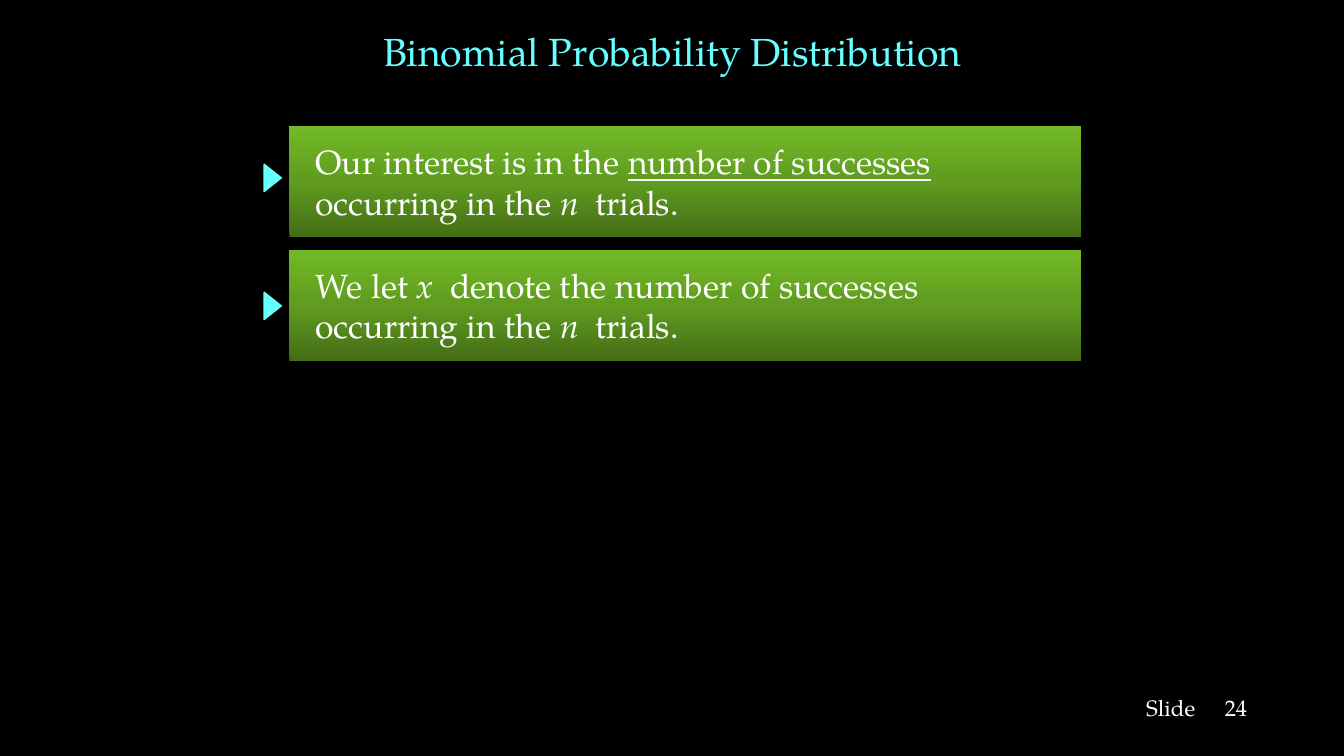
from copy import deepcopy
from pptx import Presentation
from pptx.dml.color import RGBColor
from pptx.enum.shapes import MSO_SHAPE as Preset
from pptx.enum.text import MSO_ANCHOR as Anchor, PP_ALIGN as Align
from pptx.oxml.ns import qn
from pptx.util import Inches, Pt

BLACK = RGBColor(0x00, 0x00, 0x00)
WHITE = RGBColor(0xFF, 0xFF, 0xFF)
CYAN = RGBColor(0x66, 0xFF, 0xFF)
GREENS = [RGBColor(0x44, 0x6D, 0x16), RGBColor(0x60, 0x9C, 0x20), RGBColor(0x72, 0xB9, 0x25)]
FONT = "TeX Gyre Pagella"

prs = Presentation()
prs.slide_width, prs.slide_height = Inches(13.33), Inches(7.5)
slide = prs.slides.add_slide(prs.slide_layouts[6])
slide.background.fill.solid()
slide.background.fill.fore_color.rgb = BLACK


def style(run, size, color):
    run.font.name = FONT
    run.font.size = Pt(size)
    run.font.color.rgb = color


def add_label(text, left, top, width, height, size, color, align):
    label = slide.shapes.add_textbox(Inches(left), Inches(top), Inches(width), Inches(height))
    frame = label.text_frame
    frame.word_wrap = True
    frame.vertical_anchor = Anchor.MIDDLE
    frame.text = text
    frame.paragraphs[0].alignment = align
    style(frame.paragraphs[0].runs[0], size, color)


add_label("Binomial Probability Distribution", 1, 0.06, 11.33, 0.89, 28, CYAN, Align.CENTER)
add_label("Slide", 11.27, 6.83, 0.78, 0.37, 16, WHITE, Align.LEFT)
add_label("24", 12.05, 6.83, 0.5, 0.37, 16, WHITE, Align.LEFT)

TRIALS = [("occurring in the ", ""), ("n", "italic"), (" trials.", "")]
statements = [
    (1.25, 1.68, [[("Our interest is in the ", ""), ("number of successes", "underline")], TRIALS]),
    (2.48, 2.95, [[("We let ", ""), ("x", "italic"), (" denote the number of successes", "")], TRIALS]),
]

for panel_top, marker_top, lines in statements:
    panel = slide.shapes.add_shape(
        Preset.RECTANGLE, Inches(2.87), Inches(panel_top), Inches(7.85), Inches(1.1))
    panel.shadow.inherit = False
    panel.line.fill.background()
    panel.fill.gradient()
    panel.fill.gradient_angle = 90
    stops = panel._element.spPr.find(".//" + qn("a:gsLst"))
    stops.append(deepcopy(stops[0]))
    for stop, green, position in zip(panel.fill.gradient_stops, GREENS, (0, 0.5, 1)):
        stop.color.rgb = green
        stop.position = position

    frame = panel.text_frame
    frame.word_wrap = False
    frame.vertical_anchor = Anchor.MIDDLE
    frame.margin_left = Inches(0.26)
    for number, line in enumerate(lines):
        paragraph = frame.add_paragraph() if number else frame.paragraphs[0]
        paragraph.alignment = Align.LEFT
        for text, emphasis in line:
            run = paragraph.add_run()
            run.text = text
            style(run, 24, WHITE)
            if emphasis == "underline":
                run.font.underline = True
            elif emphasis == "italic":
                run.font.italic = True
                run._r.get_or_add_rPr().set("spc", "600")

    marker = slide.shapes.add_shape(
        Preset.ISOSCELES_TRIANGLE, Inches(2.57), Inches(marker_top), Inches(0.27), Inches(0.17))
    marker.rotation = 90
    marker.shadow.inherit = False
    marker.fill.solid()
    marker.fill.fore_color.rgb = CYAN
    marker.line.color.rgb = CYAN
    marker.line.width = Pt(1)

prs.save("out.pptx")
